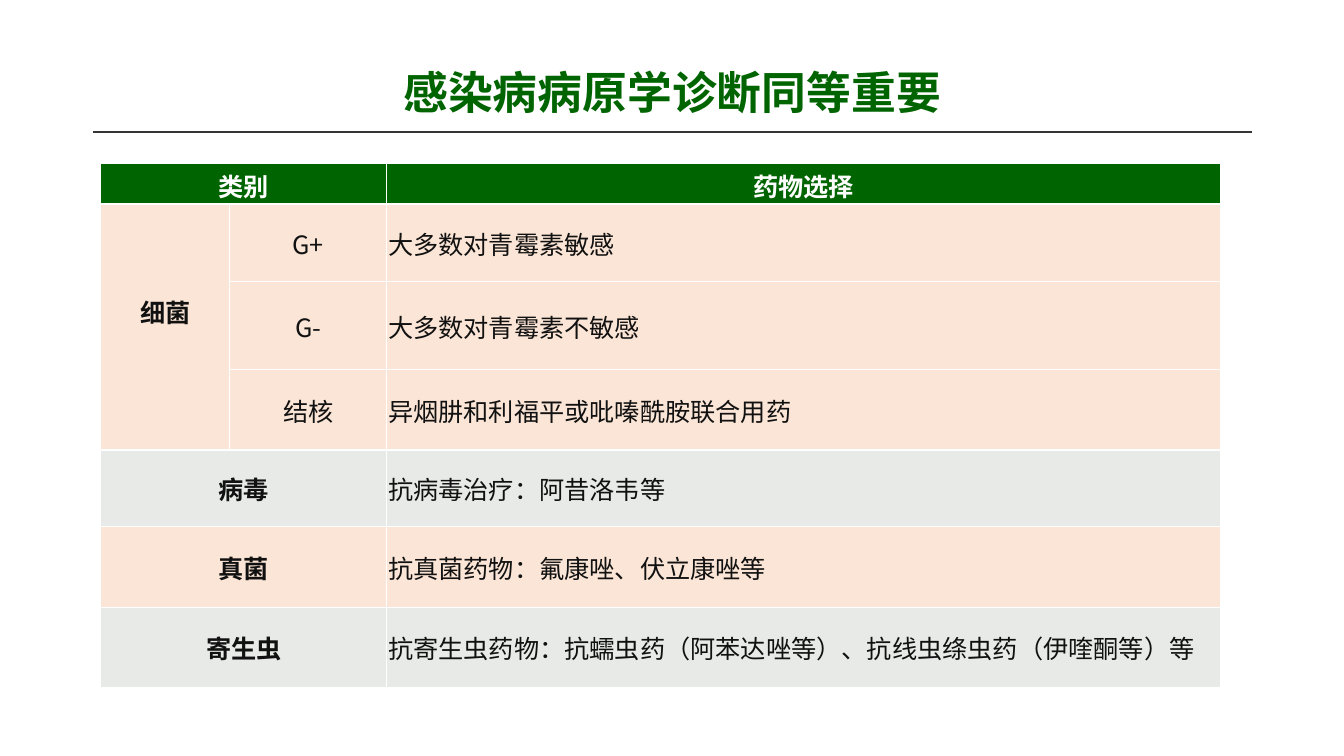
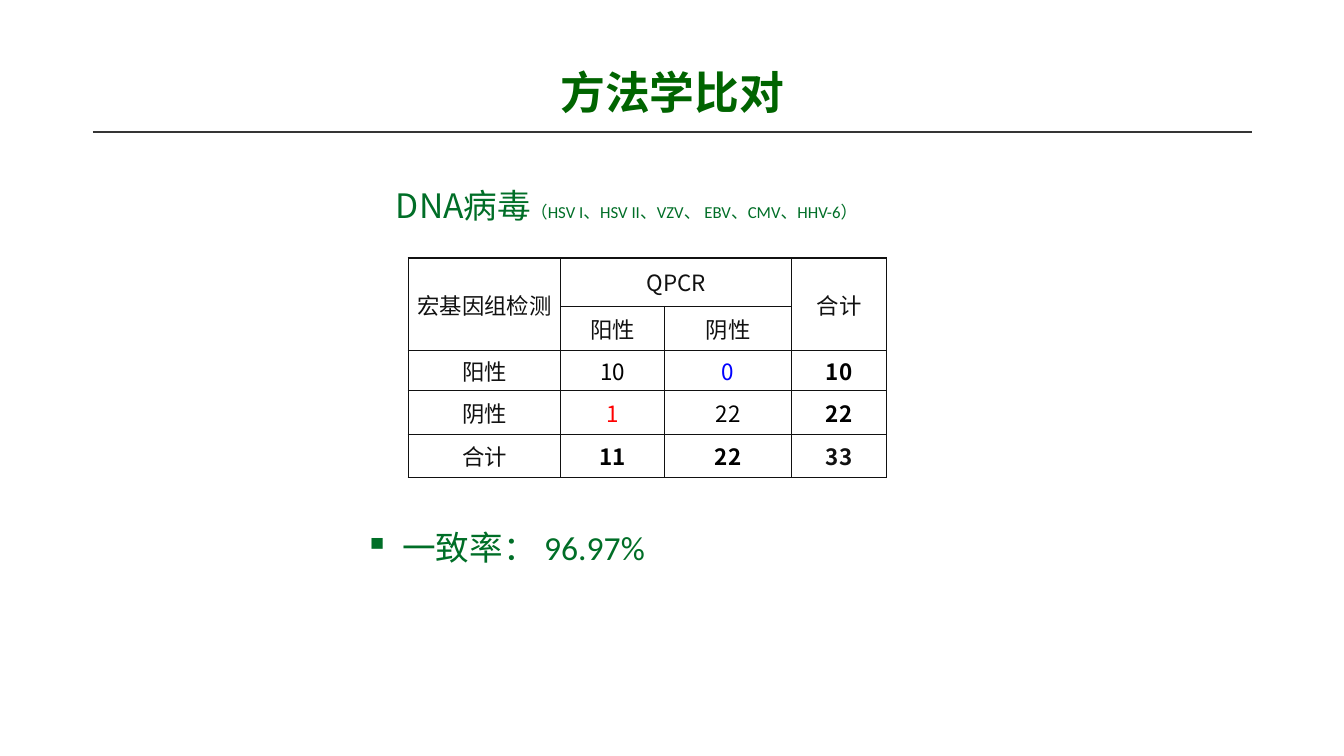
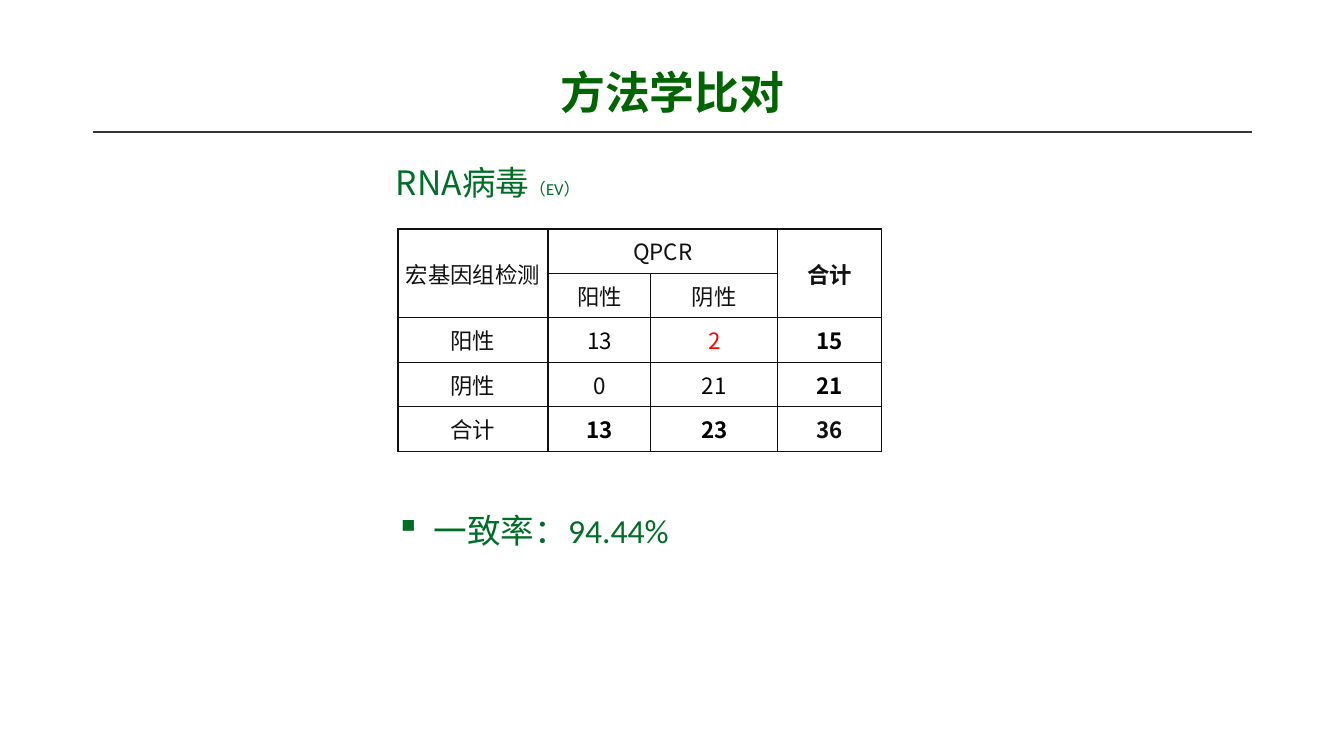
from lxml.etree import SubElement
from pptx import Presentation
from pptx.dml.color import RGBColor
from pptx.enum.lang import MSO_LANGUAGE_ID as LANG
from pptx.enum.shapes import MSO_CONNECTOR as CONN
from pptx.enum.text import MSO_ANCHOR as ANCHOR, PP_ALIGN as ALIGN
from pptx.oxml import parse_xml
from pptx.oxml.ns import nsdecls, qn
from pptx.util import Cm, Pt

# Shared style
LATIN, CJK = "Calibri", "Noto Sans CJK SC"
TITLE_GREEN, TEXT_GREEN = "006400", "006E27"
INK, BLACK, WHITE, RULE = "111111", "000000", "FFFFFF", "353535"
RED, BLUE = "FF0000", "0000FF"
PEACH, GREY = "FBE5D6", "E7EAE7"
LEFT, WIDTH, RULE_Y = 2.34, 29.21, 3.33


def rgb(value):
    return RGBColor.from_string(value)


# Text
def add_run(p, text, size, color, font=CJK, bold=False):
    r = p.add_run()
    r.text = text
    r.font.size = Pt(size)
    r.font.bold = bold
    r.font.color.rgb = rgb(color)
    r.font.name = font
    r.font.language_id = LANG.SIMPLIFIED_CHINESE
    SubElement(r.font._element, qn("a:ea")).set("typeface", CJK)


def add_text(s, x, y, w, h, anchor=ANCHOR.TOP):
    """Add a wrapped text box and return its first paragraph."""
    tf = s.shapes.add_textbox(Cm(x), Cm(y), Cm(w), Cm(h)).text_frame
    tf.word_wrap = True
    tf.vertical_anchor = anchor
    p = tf.paragraphs[0]
    p.line_spacing = 1.2
    return p


def add_heading(s, x, y, w, h, virus, names):
    p = add_text(s, x, y, w, h)
    add_run(p, virus, 24, TEXT_GREEN)
    add_run(p, "（", 12, TEXT_GREEN)
    add_run(p, names, 12, TEXT_GREEN, LATIN)
    add_run(p, "）", 12, TEXT_GREEN)


def add_bullet(s, x, y, w, h, text):
    p = add_text(s, x, y, w, h)
    pPr = p._p.get_or_add_pPr()
    indent = Cm(0.95)
    pPr.set("marL", str(indent))
    pPr.set("indent", str(-indent))
    SubElement(pPr, qn("a:buChar")).set("char", "▪")
    add_run(p, text, 24, TEXT_GREEN, LATIN)


# Slide with title and rule
def add_slide(prs, title):
    s = prs.slides.add_slide(prs.slide_layouts[6])
    line = s.shapes.add_connector(CONN.STRAIGHT, Cm(LEFT), Cm(RULE_Y),
                                  Cm(LEFT + WIDTH), Cm(RULE_Y))
    line.line.color.rgb = rgb(RULE)
    line.line.width = Pt(1.5)
    SubElement(line._element.spPr, qn("a:effectLst"))
    p = add_text(s, LEFT, 1.02, WIDTH, RULE_Y - 1.02, ANCHOR.MIDDLE)
    p.alignment = ALIGN.CENTER
    add_run(p, title, 32, TITLE_GREEN, LATIN, True)
    return s


# Tables
def set_borders(cell, color):
    tcPr = cell._tc.get_or_add_tcPr()
    for i, side in enumerate("LRTB"):
        tcPr.insert(i, parse_xml(
            f'<a:ln{side} {nsdecls("a")} w="{Pt(1)}"><a:solidFill>'
            f'<a:srgbClr val="{color}"/></a:solidFill></a:ln{side}>'))


def add_table(s, x, y, cols, rows, merges, border, pads):
    tbl = s.shapes.add_table(len(rows), len(cols), Cm(x), Cm(y),
                             Cm(sum(cols)), Cm(sum(rows))).table
    tbl.first_row = tbl.horz_banding = False
    for col, w in zip(tbl.columns, cols):
        col.width = Cm(w)
    for row, h in zip(tbl.rows, rows):
        row.height = Cm(h)
    for cell in tbl.iter_cells():
        cell.fill.background()
        set_borders(cell, border)
        cell.vertical_anchor = ANCHOR.MIDDLE
        cell.margin_left = cell.margin_right = Cm(pads[0])
        cell.margin_top, cell.margin_bottom = Cm(pads[1]), 0
    for r1, c1, r2, c2 in merges:
        tbl.cell(r1, c1).merge(tbl.cell(r2, c2))
    return tbl


def fill_cell(cell, text, size, color, bold=False, align=ALIGN.CENTER):
    p = cell.text_frame.paragraphs[0]
    p.alignment = align
    add_run(p, text, size, color, bold=bold)


def add_drug_table(s):
    body = [
        ("细菌", "G+", "大多数对青霉素敏感", PEACH),
        (None, "G-", "大多数对青霉素不敏感", PEACH),
        (None, "结核", "异烟肼和利福平或吡嗪酰胺联合用药", PEACH),
        ("病毒", None, "抗病毒治疗：阿昔洛韦等", GREY),
        ("真菌", None, "抗真菌药物：氟康唑、伏立康唑等", PEACH),
        ("寄生虫", None, "抗寄生虫药物：抗蠕虫药（阿苯达唑等）、"
         "抗线虫绦虫药（伊喹酮等）等", GREY),
    ]
    merges = [(i, 0, i, 1) for i in (0, 4, 5, 6)] + [(1, 0, 3, 0)]
    tbl = add_table(s, 2.54, 4.12, [3.25, 3.96, 21],
                    [1.02, 1.96, 2.21, 2.03, 1.93, 2.03, 2.03],
                    merges, WHITE, (0.03, 0.03))
    fills = [TITLE_GREEN] + [row[-1] for row in body]
    for i, fill in enumerate(fills):
        for cell in tbl.rows[i].cells:
            cell.fill.solid()
            cell.fill.fore_color.rgb = rgb(fill)
    for col, text in ((0, "类别"), (2, "药物选择")):
        tbl.cell(0, col).vertical_anchor = ANCHOR.BOTTOM
        fill_cell(tbl.cell(0, col), text, 18, WHITE, True)
    for i, (group, kind, drug, _) in enumerate(body, 1):
        if group:
            fill_cell(tbl.cell(i, 0), group, 18, INK, True)
        if kind:
            fill_cell(tbl.cell(i, 1), kind, 18, INK)
        fill_cell(tbl.cell(i, 2), drug, 18, INK, align=ALIGN.LEFT)
    # The bacteria label sits above the middle of its three rows
    tbl.cell(1, 0).margin_bottom = Cm(0.8)


def add_comparison(s, x, y, cols, rows, counts, accents, bold_total=False):
    """Cross table of two methods; accents maps (row, column) to a colour."""
    merges = [(0, 0, 1, 0), (0, 1, 0, 2), (0, 3, 1, 3)]
    tbl = add_table(s, x, y, cols, rows, merges, INK, (0.08, 0))
    heads = {(0, 0): "宏基因组检测", (0, 1): "QPCR",
             (1, 1): "阳性", (1, 2): "阴性",
             (2, 0): "阳性", (3, 0): "阴性", (4, 0): "合计"}
    for (i, j), text in heads.items():
        fill_cell(tbl.cell(i, j), text, 16, INK)
    fill_cell(tbl.cell(0, 3), "合计", 16, INK, bold_total)
    for i, row in enumerate(counts):
        for j, n in enumerate(row):
            fill_cell(tbl.cell(i + 2, j + 1), str(n), 16,
                      accents.get((i, j), BLACK), bold=2 in (i, j))


def main():
    prs = Presentation()
    prs.slide_width, prs.slide_height = Cm(33.87), Cm(19.05)

    # Drug choice by pathogen
    add_drug_table(add_slide(prs, "感染病病原学诊断同等重要"))

    # DNA viruses
    s = add_slide(prs, "方法学比对")
    add_heading(s, 9.73, 4.32, 14.33, 2.29, "DNA病毒",
                "HSV I、HSV II、VZV、 EBV、CMV、HHV-6")
    add_bullet(s, 8.94, 12.95, 16.56, 6.1, "一致率： 96.97%")
    add_comparison(s, 10.29, 6.5, [3.84, 2.62, 3.2, 2.39],
                   [1.22, 1.12, 0.99, 1.12, 1.09],
                   [(10, 0, 10), (1, 22, 22), (11, 22, 33)],
                   {(0, 1): BLUE, (1, 0): RED, (2, 2): INK})

    # RNA viruses
    s = add_slide(prs, "方法学比对")
    add_heading(s, 9.73, 3.76, 12.8, 1.78, "RNA病毒", "EV")
    add_bullet(s, 9.73, 12.52, 13.79, 4.57, "一致率：94.44%")
    add_comparison(s, 10.03, 5.77, [3.78, 2.59, 3.2, 2.62], [1.12] * 5,
                   [(13, 2, 15), (0, 21, 21), (13, 23, 36)],
                   {(0, 1): RED, (1, 0): INK, (2, 2): INK}, bold_total=True)

    prs.save("out.pptx")


if __name__ == "__main__":
    main()
